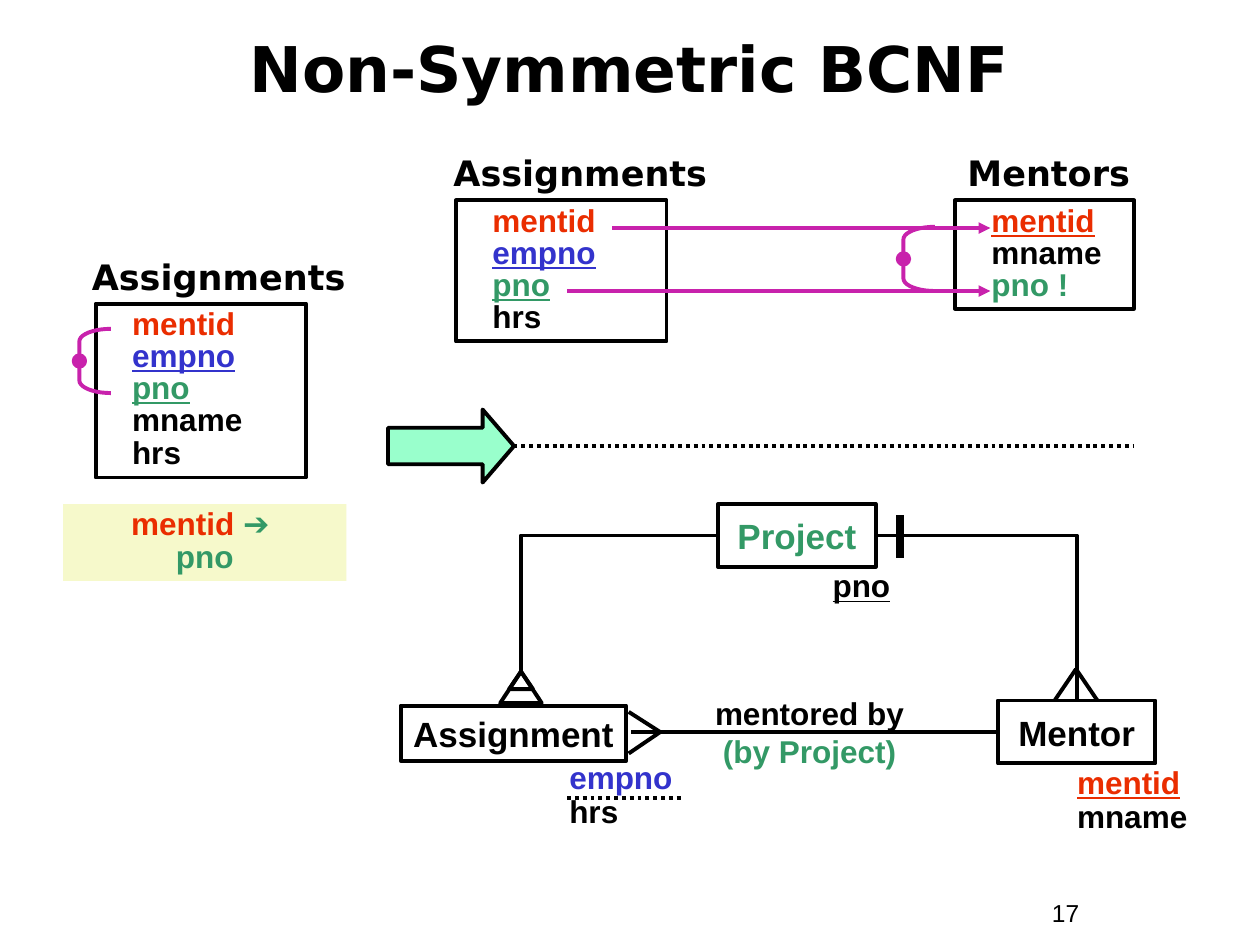
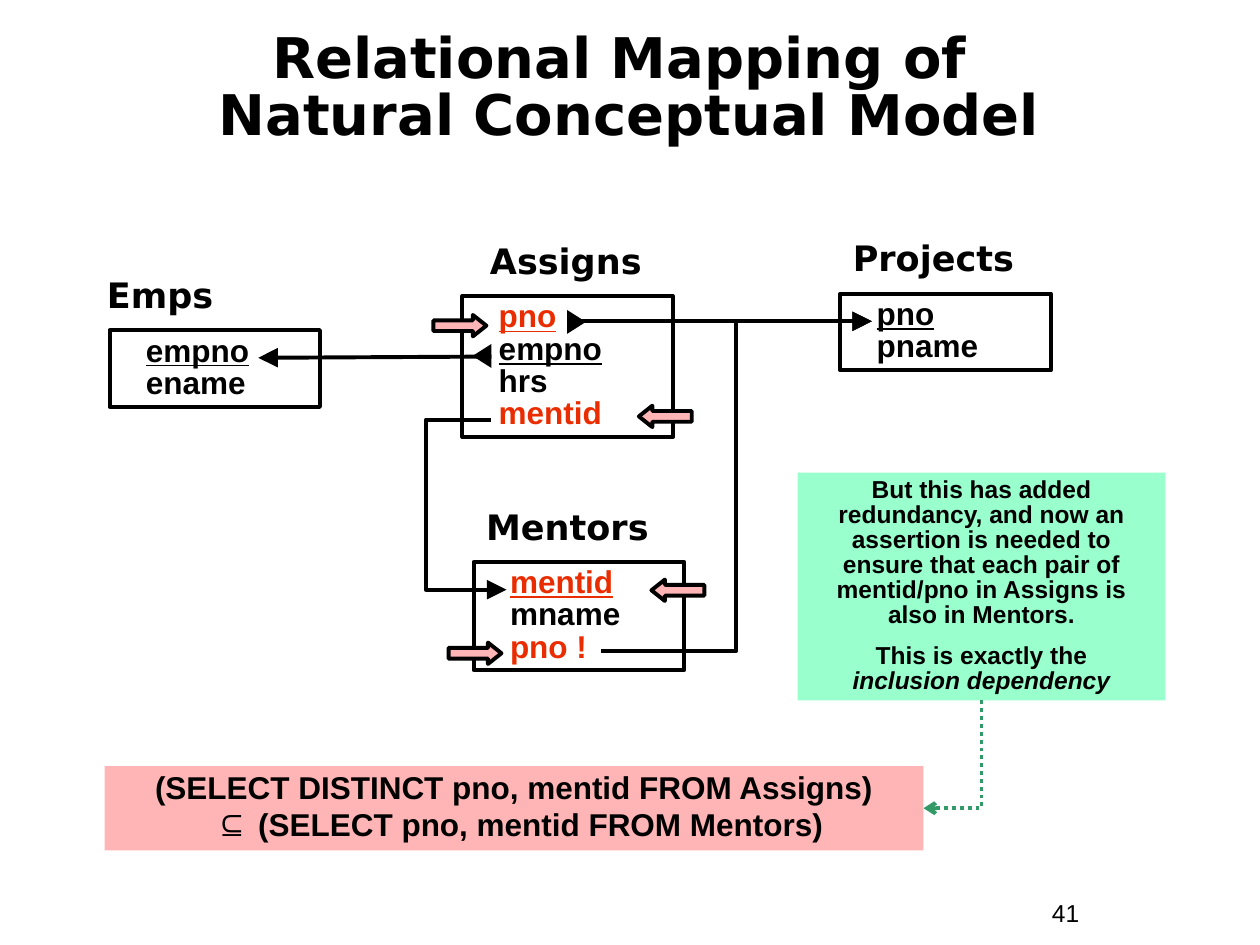
from dataclasses import dataclass
from math import cos, pi, sin

from pptx import Presentation
from pptx.dml.color import RGBColor
from pptx.enum.dml import MSO_LINE
from pptx.enum.shapes import MSO_CONNECTOR as Link, MSO_SHAPE as Preset
from pptx.enum.text import MSO_ANCHOR as Anchor, PP_ALIGN as Align
from pptx.oxml.ns import qn
from pptx.oxml.xmlchemy import OxmlElement
from pptx.util import Inches, Pt


@dataclass(frozen=True)
class Theme:
    black: str = "000000"
    red: str = "EA2D00"
    blue: str = "3333CC"
    green: str = "339966"
    magenta: str = "C822AC"
    mint: str = "99FFCC"
    pink: str = "FFB5B5"
    cream: str = "F6F9CB"
    heading_font: str = "DejaVu Sans"
    body_font: str = "Arial"
    name_size: float = 20
    body_size: float = 18
    small_size: float = 14
    line_width: float = 2.25
    bar_width: float = 4.5
    tight: float = 0.85
    snug: float = 0.9


THEME = Theme()


@dataclass(frozen=True)
class Run:
    """A piece of text; a final newline becomes a line break."""
    text: str
    color: str = THEME.black
    underline: bool = False
    italic: bool = False
    size: float = 0


def key(text, color=THEME.black):
    return Run(text, color, underline=True)


def rgb(color):
    return RGBColor.from_string(color)


def write(shape, paragraphs, size=THEME.body_size, font=THEME.body_font, bold=True,
          align=Align.LEFT, spacing=1.0, anchor=Anchor.TOP, wrap=True, gap=0, indent=0):
    """Fill a shape with paragraphs, each a list of runs."""
    frame = shape.text_frame
    frame.word_wrap = wrap
    frame.vertical_anchor = anchor
    for index, runs in enumerate(paragraphs):
        paragraph = frame.paragraphs[0] if index == 0 else frame.add_paragraph()
        paragraph.alignment = align
        paragraph.line_spacing = spacing
        if index and gap:
            paragraph.space_before = Pt(gap)
        if indent:
            properties = paragraph._p.get_or_add_pPr()
            properties.set("marL", str(Inches(indent)))
            properties.set("indent", "0")
        paragraph.font.name = font
        paragraph.font.size = Pt(size)
        paragraph.font.bold = bold
        for item in runs:
            run = paragraph.add_run()
            run.text = item.text.rstrip("\n")
            run.font.color.rgb = rgb(item.color)
            if item.underline:
                run.font.underline = True
            if item.italic:
                run.font.italic = True
            if item.size:
                run.font.size = Pt(item.size)
            if item.text.endswith("\n"):
                paragraph.add_line_break()


def add_text(slide, box, paragraphs, **style):
    write(slide.shapes.add_textbox(*map(Inches, box)), paragraphs, **style)


def paint(shape, fill=None, line=THEME.black):
    shape.shadow.inherit = False
    if fill:
        shape.fill.solid()
        shape.fill.fore_color.rgb = rgb(fill)
    else:
        shape.fill.background()
    if line:
        shape.line.color.rgb = rgb(line)
        shape.line.width = Pt(THEME.line_width)
    else:
        shape.line.fill.background()


def add_preset(slide, preset, box, fill=None, line=THEME.black, adjustments=(), rotation=0):
    shape = slide.shapes.add_shape(preset, *map(Inches, box))
    paint(shape, fill, line)
    for index, value in enumerate(adjustments):
        shape.adjustments[index] = value
    shape.rotation = rotation
    return shape


def add_panel(slide, box, fill, paragraphs, **style):
    panel = add_preset(slide, Preset.RECTANGLE, box, fill, line=None)
    write(panel, paragraphs, align=Align.CENTER, **style)
    return panel


def add_line(slide, start, end, color=THEME.black, width=THEME.line_width, kind=Link.STRAIGHT,
             dotted=False, head=None, tail=None, arrow_size="med"):
    connector = slide.shapes.add_connector(kind, *map(Inches, start + end))
    connector.line.color.rgb = rgb(color)
    connector.line.width = Pt(width)
    if dotted:
        connector.line.dash_style = MSO_LINE.ROUND_DOT
    for tag, arrow in (("a:headEnd", head), ("a:tailEnd", tail)):
        if arrow:
            tip = OxmlElement(tag)
            for name, value in (("type", arrow), ("w", arrow_size), ("len", arrow_size)):
                tip.set(name, value)
            connector.line._get_or_add_ln().append(tip)
    connector._element.spPr.append(OxmlElement("a:effectLst"))
    return connector


def add_corner(slide, start, end, **style):
    """Draw a connector with one bend, horizontal first."""
    connector = add_line(slide, start, end, kind=Link.ELBOW, **style)
    connector._element.spPr.find(qn("a:prstGeom")).set("prst", "bentConnector2")
    return connector


def add_detour(slide, start, end, bend_x, **style):
    """Draw a connector whose upright part stands at bend_x."""
    connector = add_line(slide, start, end, kind=Link.ELBOW, **style)
    share = (bend_x - start[0]) / (end[0] - start[0])
    guide = OxmlElement("a:gd")
    guide.set("name", "adj1")
    guide.set("fmla", f"val {round(share * 100000)}")
    connector._element.spPr.find(qn("a:prstGeom")).find(qn("a:avLst")).append(guide)


def add_bracket(slide, left, top, width=0.25, height=0.51, curve=0.1, steps=10):
    """Draw a rounded bracket open to the right, with a dot at its middle."""
    angles = [pi / 2 * step / steps for step in range(steps + 1)]
    upper = [(left + width * (1 - sin(a)), top + curve * (1 - cos(a))) for a in angles]
    lower = [(x, 2 * top + height - y) for x, y in reversed(upper)]
    points = [(Inches(x), Inches(y)) for x, y in upper + lower]
    builder = slide.shapes.build_freeform(*points[0])
    builder.add_line_segments(points[1:], close=False)
    paint(builder.convert_to_shape(), line=THEME.magenta)
    dot = 0.09
    add_preset(slide, Preset.OVAL, (left - dot / 2, top + (height - dot) / 2, dot, dot),
               THEME.magenta, THEME.magenta)


def add_relation(slide, name, name_box, corner, columns, width=1.67):
    """Draw a relation's name and its box, tall enough for its columns."""
    add_text(slide, (*name_box, 0.44), [[Run(name)]],
             size=THEME.name_size, font=THEME.heading_font)
    box = add_preset(slide, Preset.RECTANGLE,
                     (*corner, width, round(0.1 + 0.255 * len(columns), 2)))
    write(box, [[column] for column in columns], spacing=THEME.tight, indent=0.19)


def add_entity(slide, name, box, color=THEME.black):
    entity = add_preset(slide, Preset.RECTANGLE, box)
    write(entity, [[Run(name, color)]], size=THEME.name_size, align=Align.CENTER,
          anchor=Anchor.MIDDLE, wrap=False)
    return entity


def add_slide(presentation, title, title_box, title_size, number):
    slide = presentation.slides.add_slide(presentation.slide_layouts[6])
    add_text(slide, (8.25, 7.08, 0.92, 0.34), [[Run(number)]],
             size=THEME.small_size, bold=False)
    add_text(slide, title_box, [[Run(line) for line in title]], size=title_size,
             font=THEME.heading_font, align=Align.CENTER, spacing=THEME.tight,
             anchor=Anchor.MIDDLE)
    return slide


def add_entity_diagram(slide):
    project = add_entity(slide, "Project", (5.7, 4, 1.25, 0.5), THEME.green)
    mentor = add_entity(slide, "Mentor", (7.92, 5.56, 1.25, 0.5))
    add_entity(slide, "Assignment", (3.18, 5.6, 1.79, 0.44))
    identifier = add_preset(slide, Preset.ISOSCELES_TRIANGLE, (3.97, 5.33, 0.33, 0.25))
    add_preset(slide, Preset.ISOSCELES_TRIANGLE, (4.04, 5.33, 0.19, 0.14))

    to_mentor = add_corner(slide, (6.95, 4.25), (8.54, 5.56))
    to_mentor.begin_connect(project, 3)
    to_mentor.end_connect(mentor, 0)
    to_assignment = add_corner(slide, (5.7, 4.25), (4.14, 5.33))
    to_assignment.begin_connect(project, 1)
    to_assignment.end_connect(identifier, 0)
    mentored_by = add_line(slide, (5.01, 5.81), (7.92, 5.81))
    mentored_by.end_connect(mentor, 1)

    for toe_x in (8.37, 8.71):
        add_line(slide, (8.54, 5.31), (toe_x, 5.56))
    for toe_y in (5.65, 5.98):
        add_line(slide, (5.24, 5.81), (4.99, toe_y))
    add_line(slide, (7.14, 4.09), (7.14, 4.43), width=THEME.bar_width)

    add_text(slide, (5.55, 5.46, 1.75, 0.7),
             [[Run("mentored by\n"), Run("(by Project)", THEME.green)]], align=Align.CENTER)
    add_text(slide, (6.51, 4.48, 1.17, 0.37), [[key("pno")]], spacing=THEME.snug)
    add_text(slide, (4.42, 6, 1.17, 0.64), [[Run("empno\n", THEME.blue), Run("hrs")]],
             spacing=THEME.snug)
    add_text(slide, (8.45, 6.04, 1.17, 0.64), [[key("mentid", THEME.red)], [Run("mname")]],
             spacing=THEME.snug)
    add_line(slide, (4.5, 6.33), (5.42, 6.33), dotted=True)


def build_bcnf_slide(presentation):
    slide = add_slide(presentation, ["Non-Symmetric BCNF"], (0.33, 0.17, 9.33, 0.83), 36, "17")
    add_line(slide, (3.08, 3.54), (9, 3.54), dotted=True)
    add_preset(slide, Preset.RIGHT_ARROW, (3.08, 3.25, 1, 0.58), THEME.mint,
               adjustments=(0.5, 0.43))

    keys = [Run("mentid", THEME.red), key("empno", THEME.blue), key("pno", THEME.green)]
    add_relation(slide, "Assignments", (0.63, 1.98, 2.25), (0.76, 2.41),
                 keys + [Run("mname"), Run("hrs")])
    add_bracket(slide, 0.63, 2.61)
    add_panel(slide, (0.5, 4, 2.25, 0.61), THEME.cream,
              [[Run("mentid ", THEME.red), Run("➔ \n", THEME.green), Run("pno", THEME.green)]],
              spacing=THEME.tight)

    add_relation(slide, "Mentors", (7.58, 1.15, 1.67), (7.58, 1.59),
                 [key("mentid", THEME.red), Run("mname"), Run("pno !", THEME.green)], width=1.42)
    add_relation(slide, "Assignments", (3.5, 1.15, 2.25), (3.62, 1.59), keys + [Run("hrs")])
    for start_x, y in ((4.86, 1.81), (4.5, 2.31)):
        add_line(slide, (start_x, y), (7.86, y), THEME.magenta, tail="triangle")
    add_bracket(slide, 7.17, 1.8)
    add_entity_diagram(slide)


def build_mapping_slide(presentation):
    slide = add_slide(presentation, ["Relational Mapping of \n", "Natural Conceptual Model"],
                      (0.33, 0.25, 9.33, 0.92), 32, "41")
    add_relation(slide, "Projects", (6.67, 1.83, 1.67), (6.67, 2.33), [key("pno"), Run("pname")])
    add_relation(slide, "Mentors", (3.76, 3.96, 1.67), (3.76, 4.46),
                 [key("mentid", THEME.red), Run("mname"), Run("pno !", THEME.red)])
    add_relation(slide, "Assigns", (3.79, 1.85, 1.5), (3.67, 2.35),
                 [key("pno", THEME.red), key("empno"), Run("hrs"), Run("mentid", THEME.red)])
    add_relation(slide, "Emps", (0.75, 2.12, 2.25), (0.87, 2.62), [key("empno"), Run("ename")])

    reference = {"tail": "triangle", "arrow_size": "lg"}
    add_detour(slide, (3.9, 3.33), (4.02, 4.68), 3.38, **reference)
    add_detour(slide, (4.77, 5.17), (6.92, 2.55), 5.84, **reference)
    add_line(slide, (4.51, 2.55), (6.92, 2.55), **reference)
    add_line(slide, (3.9, 2.83), (2.05, 2.84), **reference)
    for left, top, rotation in ((4.48, 2.48, 90), (3.73, 2.75, 270)):
        add_preset(slide, Preset.ISOSCELES_TRIANGLE, (left, top, 0.19, 0.15), THEME.black,
                   line=None, rotation=rotation)
    for preset, left, top in ((Preset.RIGHT_ARROW, 3.44, 2.5), (Preset.RIGHT_ARROW, 3.56, 5.1),
                              (Preset.LEFT_ARROW, 5.07, 3.22), (Preset.LEFT_ARROW, 5.17, 4.6)):
        add_preset(slide, preset, (left, top, 0.42, 0.17), THEME.pink, adjustments=(0.5, 0.63))

    query = add_panel(slide, (0.83, 6.08, 6.5, 0.67), THEME.pink, [[
        Run("(SELECT DISTINCT pno, mentid FROM Assigns)\n"),
        Run(" ⊆", size=THEME.name_size),
        Run(" (SELECT pno, mentid FROM Mentors)")]], spacing=THEME.snug)
    note = add_panel(slide, (6.33, 3.75, 2.92, 1.81), THEME.mint, [
        [Run("But this has added redundancy, and now an assertion is needed to ensure that "
             "each pair of mentid/pno in Assigns is also in Mentors.")],
        [Run("This is exactly the\n"), Run("inclusion dependency", italic=True)]],
        size=THEME.small_size, spacing=THEME.tight, gap=8.8)
    dependency = add_corner(slide, (7.33, 6.42), (7.79, 5.56), color=THEME.green,
                            dotted=True, head="arrow")
    dependency.begin_connect(query, 3)
    dependency.end_connect(note, 2)


def main():
    presentation = Presentation()
    presentation.slide_width = Inches(10)
    presentation.slide_height = Inches(7.5)
    build_bcnf_slide(presentation)
    build_mapping_slide(presentation)
    presentation.save("out.pptx")


if __name__ == "__main__":
    main()
